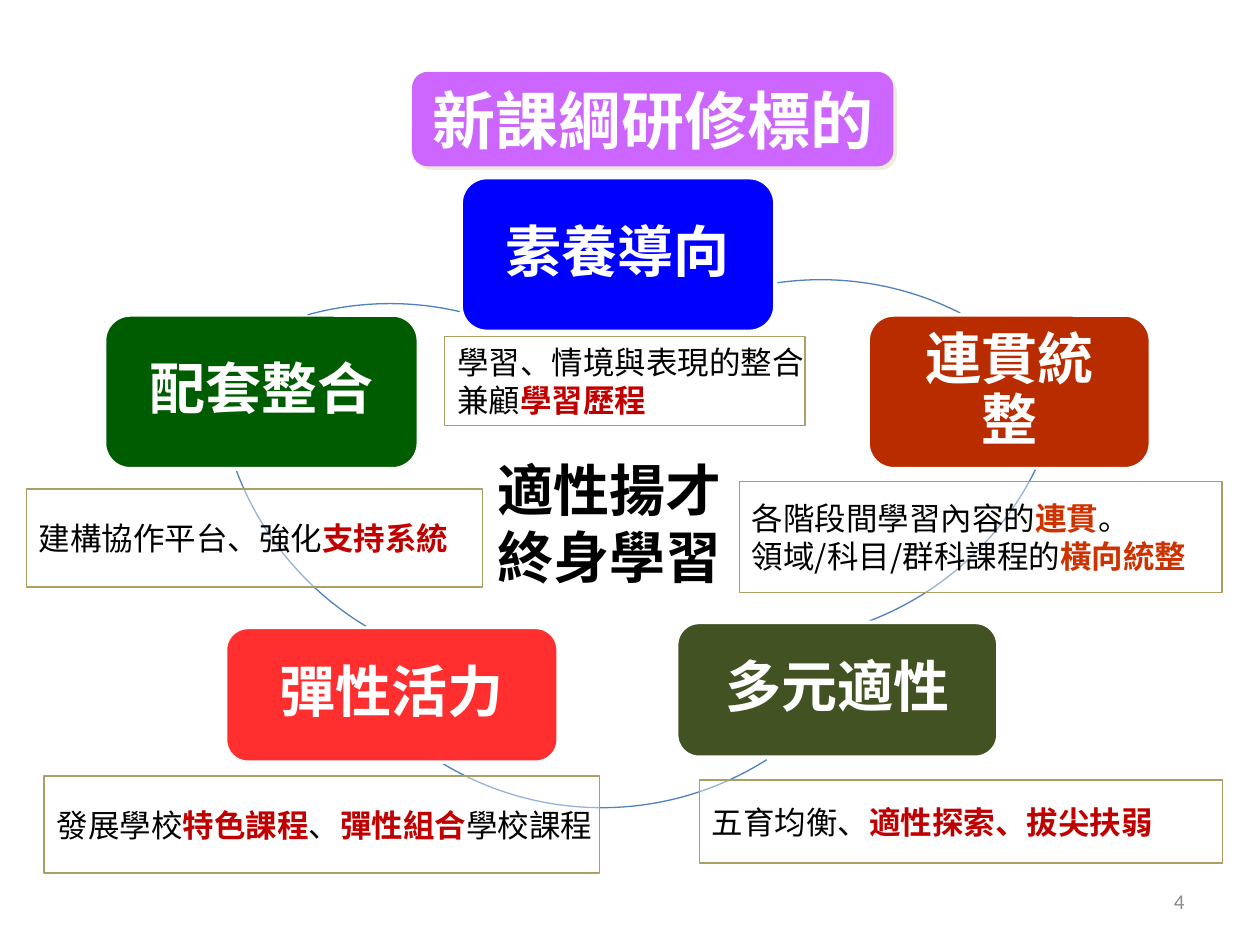
"""Build the slide on the goals of curriculum training: five linked cards with notes."""
from dataclasses import dataclass

from lxml.etree import SubElement
from pptx import Presentation
from pptx.dml.color import RGBColor
from pptx.enum.shapes import MSO_SHAPE
from pptx.enum.text import MSO_ANCHOR, PP_ALIGN
from pptx.oxml.ns import qn
from pptx.util import Inches, Pt

COLORS = {
    "white": "FFFFFF", "black": "000000", "blue": "0000FF", "rust": "B82C00",
    "olive": "425222", "red": "FF2F2F", "green": "005C00", "violet": "CC66FF",
    "arc": "4F81BD", "border": "AAA066", "crimson": "C00000",
    "orange": "CC3300", "gray": "8C8C8C", "shadow": "EEECE1",
}
CJK_FONT = "Noto Sans CJK SC"
ARC_SIZE = 4.89
Frame = tuple[float, float, float, float]


@dataclass
class Span:
    text: str
    color: str = "black"
    bold: bool = False


@dataclass
class Card:
    text: str
    color: str
    frame: Frame


@dataclass
class Arc:
    left: float
    top: float
    start: float
    end: float


@dataclass
class Note:
    frame: Frame
    lines: list[list[Span]]


CARDS = [
    Card("素養導向", "blue", (3.66, 1.41, 2.49, 1.22)),
    Card("連貫統整", "rust", (6.89, 2.5, 2.24, 1.22)),
    Card("多元適性", "olive", (5.37, 4.94, 2.55, 1.07)),
    Card("彈性活力", "red", (1.79, 4.98, 2.64, 1.07)),
    Card("配套整合", "green", (0.83, 2.5, 2.49, 1.22)),
]
ARCS = [
    Arc(4.07, 2.22, 261.9, 296.9),
    Arc(3.58, 0.2, 26.3, 69),
    Arc(2.33, 1.52, 57.6, 120.9),
    Arc(1.72, 0.43, 121.1, 159.3),
    Arc(0.65, 2.41, 254.5, 283.1),
]
NOTES = [
    Note((3.53, 2.67, 2.86, 0.71), [
        [Span("學習、情境與表現的整合")],
        [Span("兼顧"), Span("學習歷程", "crimson", True)],
    ]),
    Note((5.87, 3.82, 3.83, 0.88), [
        [Span("各階段間學習內容的"), Span("連貫", "orange", True), Span("。")],
        [Span("領域/科目/群科課程的"), Span("橫向統整", "orange", True)],
    ]),
    Note((5.55, 6.19, 4.15, 0.66), [
        [Span("五育均衡、"), Span("適性探索、拔尖扶弱", "crimson", True)],
    ]),
    Note((0.35, 6.16, 4.41, 0.77), [
        [Span("發展學校"), Span("特色課程", "crimson", True), Span("、"),
         Span("彈性組合", "crimson", True), Span("學校課程")],
    ]),
    Note((0.21, 3.88, 3.62, 0.78), [
        [Span("建構協作平台、強化"), Span("支持系統", "crimson", True)],
    ]),
]


def rgb(name: str) -> RGBColor:
    return RGBColor.from_string(COLORS[name])


def inches(frame: Frame) -> list[Inches]:
    return [Inches(value) for value in frame]


def write(box, lines: list[list[Span]], *, size: float, font: str = CJK_FONT,
          align=PP_ALIGN.LEFT, wrap: bool = True, inset: float | None = None,
          spacing: float | None = None, after: float = 0) -> None:
    frame = box.text_frame
    frame.word_wrap = wrap
    frame.vertical_anchor = MSO_ANCHOR.MIDDLE
    if inset is not None:
        frame.margin_left = frame.margin_right = Inches(inset)
        frame.margin_top = frame.margin_bottom = Inches(inset)
    for index, line in enumerate(lines):
        para = frame.paragraphs[0] if index == 0 else frame.add_paragraph()
        para.alignment = align
        para.space_before, para.space_after = Pt(0), Pt(after)
        if spacing:
            para.line_spacing = spacing
        for span in line:
            run = para.add_run()
            run.text = span.text
            run.font.size, run.font.bold = Pt(size), span.bold
            run.font.name = font
            run.font.color.rgb = rgb(span.color)
            SubElement(run.font._element, qn("a:ea"), typeface=font)


def add_shape(page, kind, frame: Frame, *, fill: str | None = None,
              line: str | None = None, width: float = 0.75):
    shape = page.shapes.add_shape(kind, *inches(frame))
    shape.shadow.inherit = False
    if fill:
        shape.fill.solid()
        shape.fill.fore_color.rgb = rgb(fill)
    else:
        shape.fill.background()
    if line:
        shape.line.color.rgb = rgb(line)
        shape.line.width = Pt(width)
    else:
        shape.line.fill.background()
    return shape


def add_arc(page, arc: Arc) -> None:
    shape = add_shape(page, MSO_SHAPE.ARC, (arc.left, arc.top, ARC_SIZE, ARC_SIZE), line="arc")
    for index, angle in enumerate((arc.start, arc.end)):
        shape.adjustments[index] = angle * 0.6


def add_card(page, card: Card) -> None:
    shape = add_shape(page, MSO_SHAPE.ROUNDED_RECTANGLE, card.frame,
                      fill=card.color, line="white", width=2)
    write(shape, [[Span(card.text, "white", True)]], size=32, align=PP_ALIGN.CENTER,
          inset=0.19, spacing=0.9, after=11)


def add_note(page, note: Note) -> None:
    shape = add_shape(page, MSO_SHAPE.RECTANGLE, note.frame, fill="white", line="border")
    color = shape._element.spPr.find(qn("a:solidFill"))[0]
    SubElement(color, qn("a:alpha"), val="40000")
    write(shape, note.lines, size=18, wrap=False)


def add_title(page) -> None:
    frame = (3.27, 0.57, 3.82, 0.75)
    panel = add_shape(page, MSO_SHAPE.ROUNDED_RECTANGLE, frame, fill="violet")
    effects = panel._element.spPr.find(qn("a:effectLst"))
    shadow = SubElement(effects, qn("a:outerShdw"), dist=str(Pt(2.8)), dir="2700000",
                        algn="ctr", rotWithShape="0")
    SubElement(shadow, qn("a:srgbClr"), val=COLORS["shadow"])
    title = page.shapes.title
    title.left, title.top, title.width, title.height = inches(frame)
    write(title, [[Span("新課綱研修標的", "white", True)]], size=36, align=PP_ALIGN.CENTER)
    page.shapes._spTree.append(title._element)


def main() -> None:
    deck = Presentation()
    deck.slide_width, deck.slide_height = Inches(10), Inches(7.5)
    page = deck.slides.add_slide(deck.slide_layouts[5])
    for card, arc in zip(CARDS, ARCS):
        add_card(page, card)
        add_arc(page, arc)
    motto = page.shapes.add_textbox(*inches((3.66, 3.56, 2.36, 1.18)))
    write(motto, [[Span(text, bold=True)] for text in ("適性揚才", "終身學習")],
          size=32, align=PP_ALIGN.CENTER)
    for note in NOTES:
        add_note(page, note)
    add_title(page)
    number = page.shapes.add_textbox(*inches((7.17, 6.95, 2.33, 0.4)))
    write(number, [[Span("4", "gray")]], size=12, font="Calibri", align=PP_ALIGN.RIGHT)
    deck.save("out.pptx")


if __name__ == "__main__":
    main()
